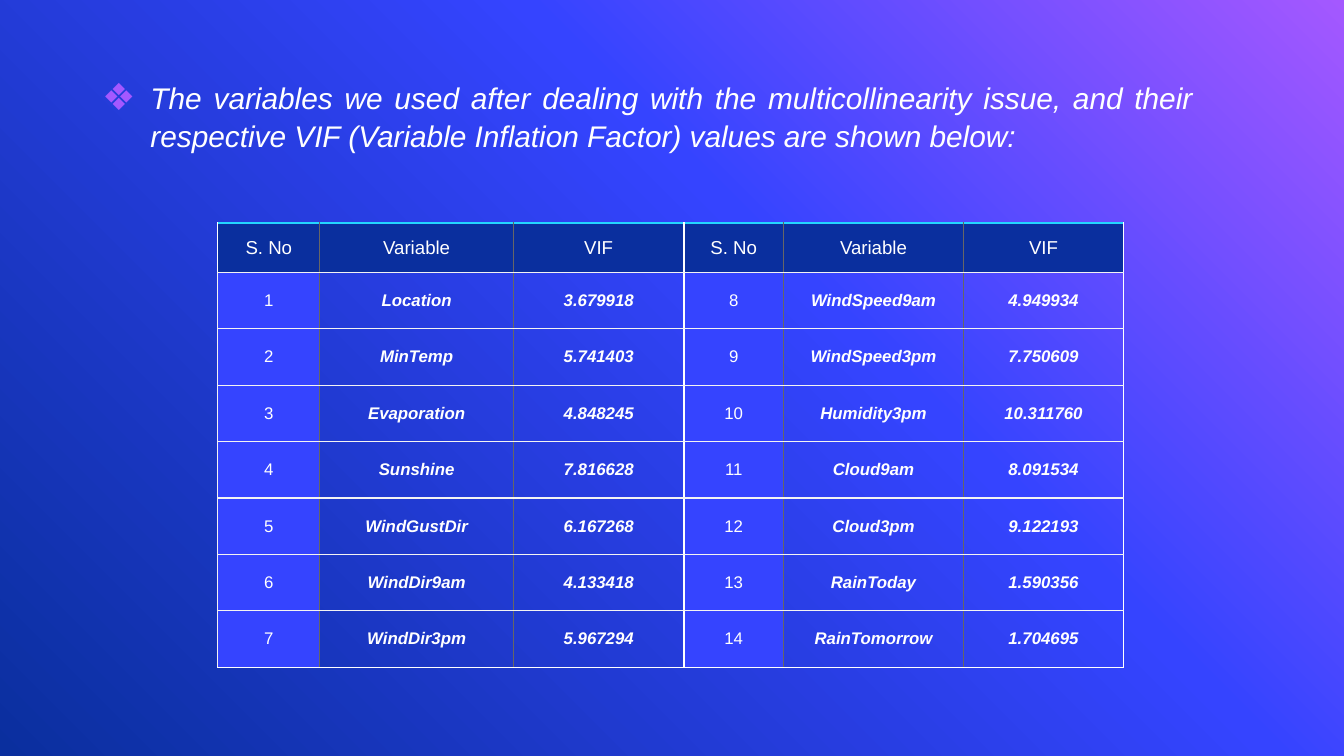
from dataclasses import dataclass

from lxml import etree
from pptx import Presentation
from pptx.dml.color import RGBColor
from pptx.enum import text as t
from pptx.oxml.ns import qn
from pptx.util import Inches, Pt

PURPLE = RGBColor(0xA4, 0x58, 0xFF)
BLUE = RGBColor(0x35, 0x44, 0xFF)
NAVY = RGBColor(0x0A, 0x2F, 0x9E)
CYAN = RGBColor(0x24, 0xD6, 0xFF)
WHITE = RGBColor(0xFF, 0xFF, 0xFF)
PALE = RGBColor(0xF3, 0xF3, 0xF3)
GRAY = RGBColor(0x66, 0x66, 0x66)

FONT = "Arial"
NO_STYLE = "{2D5ABB26-0587-4C30-8999-92F81FD0307C}"
SLIDE_WIDTH = 10
HEADINGS = ("S. No", "Variable", "VIF")
COL_WIDTHS = (0.76, 1.44, 1.27, 0.74, 1.34, 1.19)
HEADER_HEIGHT, ROW_HEIGHT = 0.33, 0.42
INTRO = (
    "The variables we used after dealing with the multicollinearity issue, "
    "and their respective VIF (Variable Inflation Factor) values are shown below:"
)


@dataclass(frozen=True)
class Factor:
    name: str
    vif: str


FACTORS = [
    Factor("Location", "3.679918"),
    Factor("MinTemp", "5.741403"),
    Factor("Evaporation", "4.848245"),
    Factor("Sunshine", "7.816628"),
    Factor("WindGustDir", "6.167268"),
    Factor("WindDir9am", "4.133418"),
    Factor("WindDir3pm", "5.967294"),
    Factor("WindSpeed9am", "4.949934"),
    Factor("WindSpeed3pm", "7.750609"),
    Factor("Humidity3pm", "10.311760"),
    Factor("Cloud9am", "8.091534"),
    Factor("Cloud3pm", "9.122193"),
    Factor("RainToday", "1.590356"),
    Factor("RainTomorrow", "1.704695"),
]
HALF = len(FACTORS) // 2


def add_color(parent, color: RGBColor) -> None:
    etree.SubElement(parent, qn("a:srgbClr"), val=str(color))


def add_run(p, content: str, size: float, bold: bool = False, italic: bool = False) -> None:
    r = p.add_run()
    r.text = content
    r.font.name, r.font.size = FONT, Pt(size)
    r.font.bold, r.font.italic = bold, italic
    r.font.color.rgb = WHITE


def paint_background(s) -> None:
    fill = s.background.fill
    fill.gradient()
    fill.gradient_angle = 225  # counter-clockwise: top right to bottom left
    stops = s.element.find(".//" + qn("a:gsLst"))
    for stop in list(stops):
        stops.remove(stop)
    for percent, color in ((0, PURPLE), (39, BLUE), (100, NAVY)):
        add_color(etree.SubElement(stops, qn("a:gs"), pos=str(percent * 1000)), color)


def add_intro(s) -> None:
    tf = s.shapes.add_textbox(Inches(0.62), Inches(0.58), Inches(8.26), Inches(0.87)).text_frame
    tf.word_wrap = True
    tf.margin_left = tf.margin_top = tf.margin_right = tf.margin_bottom = 0
    p = tf.paragraphs[0]
    p.alignment = t.PP_ALIGN.JUSTIFY
    p.line_spacing = 1.05
    add_run(p, INTRO, 16, italic=True)
    # Diamond bullet with hanging indent
    pPr = p._p.get_or_add_pPr()
    pPr.set("marL", str(Inches(0.5)))
    pPr.set("indent", str(Inches(-0.36)))
    add_color(etree.SubElement(pPr, qn("a:buClr")), PURPLE)
    etree.SubElement(pPr, qn("a:buSzPct"), val="125000")
    etree.SubElement(pPr, qn("a:buFont"), typeface=FONT)
    etree.SubElement(pPr, qn("a:buChar"), char="❖")


def set_borders(cell, row: int, col: int) -> None:
    def vertical(edge: int) -> RGBColor:
        if edge == 0 and row > 0:
            return PALE
        return WHITE if edge % len(HEADINGS) == 0 else GRAY

    borders = {
        "a:lnL": vertical(col),
        "a:lnR": vertical(col + 1),
        "a:lnT": CYAN if row == 0 else PALE,
        "a:lnB": WHITE if row == HALF else PALE,
    }
    tcPr = cell._tc.get_or_add_tcPr()
    for tag, color in borders.items():
        ln = etree.SubElement(tcPr, qn(tag), w=str(Pt(0.75)))
        add_color(etree.SubElement(ln, qn("a:solidFill")), color)


def fill_cell(cell, row: int, col: int, content: str) -> None:
    is_header = row == 0
    is_number = col % len(HEADINGS) == 0
    set_borders(cell, row, col)
    if is_header or is_number:
        cell.fill.solid()
        cell.fill.fore_color.rgb = NAVY if is_header else BLUE
    else:
        cell.fill.background()
    cell.vertical_anchor = t.MSO_ANCHOR.MIDDLE
    cell.margin_left = cell.margin_right = Inches(0.1)
    cell.margin_top = cell.margin_bottom = Inches(0.1)
    p = cell.text_frame.paragraphs[0]
    p.alignment = t.PP_ALIGN.CENTER
    strong = not (is_header or is_number)
    add_run(p, content, 10 if is_header else 9, strong, strong)


def add_vif_table(s) -> None:
    # Two halves of the list stand side by side
    rows = [HEADINGS * 2]
    for i in range(HALF):
        rows.append([v for n in (i, i + HALF)
                     for v in (str(n + 1), FACTORS[n].name, FACTORS[n].vif)])
    heights = [HEADER_HEIGHT] + [ROW_HEIGHT] * HALF
    frame = s.shapes.add_table(len(rows), len(COL_WIDTHS), Inches(1.62), Inches(1.66),
                               Inches(sum(COL_WIDTHS)), Inches(sum(heights)))
    table = frame.table
    table.first_row = table.horz_banding = False
    table._tbl.tblPr.find(qn("a:tableStyleId")).text = NO_STYLE
    for column, width in zip(table.columns, COL_WIDTHS):
        column.width = Inches(width)
    for row, height in zip(table.rows, heights):
        row.height = Inches(height)
    for i, values in enumerate(rows):
        for j, content in enumerate(values):
            fill_cell(table.cell(i, j), i, j, content)


def main() -> None:
    prs = Presentation()
    # Widescreen 16:9
    prs.slide_width, prs.slide_height = Inches(SLIDE_WIDTH), Inches(SLIDE_WIDTH * 9 / 16)
    s = prs.slides.add_slide(prs.slide_layouts[6])
    paint_background(s)
    add_intro(s)
    add_vif_table(s)
    prs.save("out.pptx")


if __name__ == "__main__":
    main()
